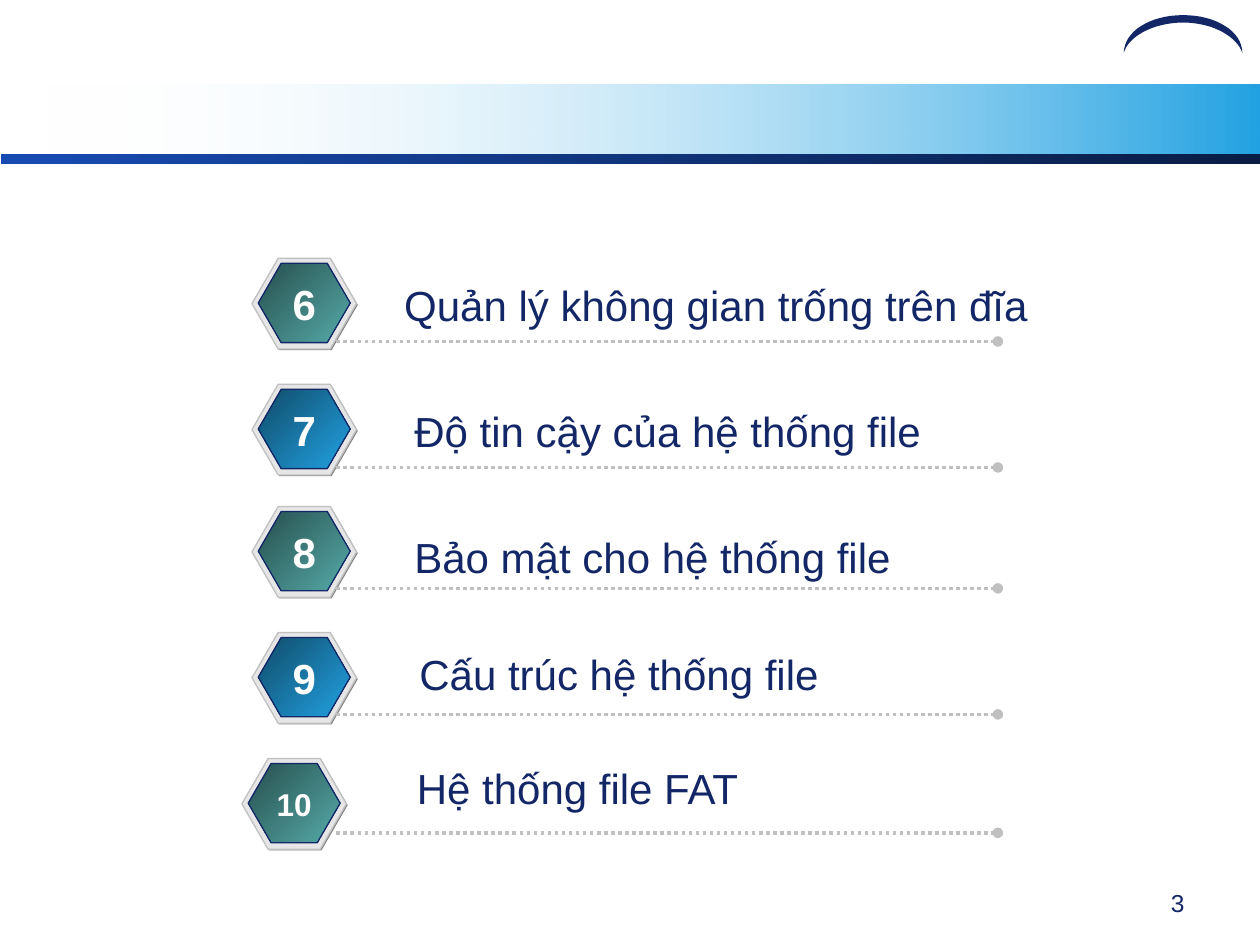
"""Builds a numbered agenda slide with hexagon badges and dotted rules."""
from lxml.etree import SubElement
from pptx import Presentation
from pptx.dml.color import RGBColor
from pptx.enum.dml import MSO_LINE
from pptx.enum.shapes import MSO_CONNECTOR, MSO_SHAPE
from pptx.enum.text import MSO_ANCHOR, PP_ALIGN
from pptx.oxml.ns import qn
from pptx.util import Inches, Pt

WIDTH, HEIGHT = 10, 7.5
COLORS = {
    "navy": "132767", "white": "FFFFFF", "sky": "22A2E2", "royal": "184BB2",
    "midnight": "091D44", "shadow": "808080", "rim": "E6E6E6", "grey": "C0C0C0",
    "teal dark": "274F4E", "teal": "55ABA9", "blue dark": "104B69",
}
BADGE_FILLS = [("teal dark", "teal"), ("blue dark", "sky")]

# number, topic, badge (left, top), topic (left, top), rule height
TOPICS = [
    ("6", "Quản lý không gian trống trên đĩa", (2, 2.05), (3.11, 2.17), 2.71),
    ("7", "Độ tin cậy của hệ thống file", (2, 3.05), (3.19, 3.17), 3.71),
    ("8", "Bảo mật cho hệ thống file", (2, 4.02), (3.19, 4.17), 4.67),
    ("9", "Cấu trúc hệ thống file", (2, 5.02), (3.23, 5.1), 5.67),
    ("10", "Hệ thống file FAT", (1.92, 6.02), (3.21, 6), 6.61),
]
PAGE_NUMBER = "3"
BADGE_SIZE, CORE_SIZE, TOPIC_SIZE = (0.83, 0.72), (0.73, 0.63), (5.15, 0.5)
RULE_START, RULE_END = 2.67, 7.92
UNITS_PER_INCH = 1000
ARC_CURVES = [
    [(9.86, 0.42), (9.82, 0.3), (9.64, 0.18), (9.39, 0.18)],
    [(9.39, 0.18), (9.14, 0.18), (8.95, 0.3), (8.92, 0.42)],
    [(8.92, 0.42), (8.92, 0.25), (9.13, 0.12), (9.39, 0.12)],
    [(9.39, 0.12), (9.65, 0.12), (9.86, 0.25), (9.86, 0.42)],
]


def rgb(name):
    return RGBColor.from_string(COLORS[name])


def paint(shape, fill, outline=None, angle=0):
    shape.shadow.inherit = False
    if isinstance(fill, tuple):
        shape.fill.gradient()
        shape.fill.gradient_angle = -angle % 360
        for stop, name, position in zip(shape.fill.gradient_stops, fill, (0, 1)):
            stop.color.rgb, stop.position = rgb(name), position
    else:
        shape.fill.solid()
        shape.fill.fore_color.rgb = rgb(fill)
    if outline:
        shape.line.color.rgb, shape.line.width = rgb(outline), Pt(0.75)
    else:
        shape.line.fill.background()


def add_preset(shapes, preset, position, size, fill, **style):
    shape = shapes.add_shape(preset, *map(Inches, (*position, *size)))
    paint(shape, fill, **style)
    return shape


def add_text(shapes, text, position, size, points=24, color="navy", bold=False,
             align=PP_ALIGN.LEFT, anchor=MSO_ANCHOR.TOP, wrap=False):
    frame = shapes.add_textbox(*map(Inches, (*position, *size))).text_frame
    frame.word_wrap, frame.vertical_anchor = wrap, anchor
    paragraph = frame.paragraphs[0]
    paragraph.alignment = align
    run = paragraph.add_run()
    run.text = text
    run.font.name, run.font.size, run.font.bold = "Arial", Pt(points), bold
    run.font.color.rgb = rgb(color)


def add_badge(shapes, left, top, core_fill):
    group = shapes.add_group_shape().shapes
    layers = [
        (0.01, 0.01, BADGE_SIZE, "shadow", None),
        (0, 0, BADGE_SIZE, "rim", "grey"),
        (0.05, 0.04, CORE_SIZE, core_fill, "navy"),
    ]
    for dx, dy, size, fill, outline in layers:
        hexagon = add_preset(group, MSO_SHAPE.HEXAGON, (left + dx, top + dy), size,
                             fill, outline=outline, angle=45)
        hexagon.adjustments[0] = 0.289


def add_rule(shapes, y):
    rule = shapes.add_connector(MSO_CONNECTOR.STRAIGHT,
                                *map(Inches, (RULE_START, y, RULE_END, y)))
    rule.line.color.rgb, rule.line.width = rgb("grey"), Pt(2)
    rule.line.dash_style = MSO_LINE.ROUND_DOT
    properties = rule.element.spPr
    SubElement(properties.find(qn("a:ln")), qn("a:tailEnd"), type="oval")
    SubElement(properties, qn("a:effectLst"))


def curve_points(curve, steps=16):
    for step in range(steps + 1):
        t = step / steps
        weights = ((1 - t) ** 3, 3 * t * (1 - t) ** 2, 3 * t * t * (1 - t), t ** 3)
        yield tuple(UNITS_PER_INCH * sum(w * point[axis] for w, point in zip(weights, curve))
                    for axis in (0, 1))


def add_arc(shapes):
    start, *rest = [point for curve in ARC_CURVES for point in curve_points(curve)]
    builder = shapes.build_freeform(*start, scale=Inches(1) / UNITS_PER_INCH)
    builder.add_line_segments(rest)
    paint(builder.convert_to_shape(), "navy")


def main():
    deck = Presentation()
    deck.slide_width, deck.slide_height = Inches(WIDTH), Inches(HEIGHT)
    shapes = deck.slides.add_slide(deck.slide_layouts[6]).shapes

    banner = add_preset(shapes, MSO_SHAPE.RECTANGLE, (0.33, 0.67), (9.67, 0.58),
                        ("white", "sky"))
    first_stop = next(banner.element.spPr.iter(qn("a:srgbClr")))
    SubElement(first_stop, qn("a:alpha"), val="0")
    add_preset(shapes, MSO_SHAPE.RECTANGLE, (0.01, 1.22), (WIDTH - 0.01, 0.08),
               ("royal", "midnight"))
    add_arc(shapes)
    add_text(shapes, PAGE_NUMBER, (7.17, 7), (2.33, 0.35), points=14,
             align=PP_ALIGN.RIGHT, wrap=True)

    for row, (number, topic, badge, topic_at, rule_y) in enumerate(TOPICS):
        add_badge(shapes, *badge, BADGE_FILLS[row % len(BADGE_FILLS)])
        add_rule(shapes, rule_y)
        add_text(shapes, topic, topic_at, TOPIC_SIZE)
        add_text(shapes, number, badge, BADGE_SIZE, points=24 if len(number) == 1 else 18,
                 color="white", bold=True, align=PP_ALIGN.CENTER, anchor=MSO_ANCHOR.MIDDLE)

    deck.save("out.pptx")


if __name__ == "__main__":
    main()
